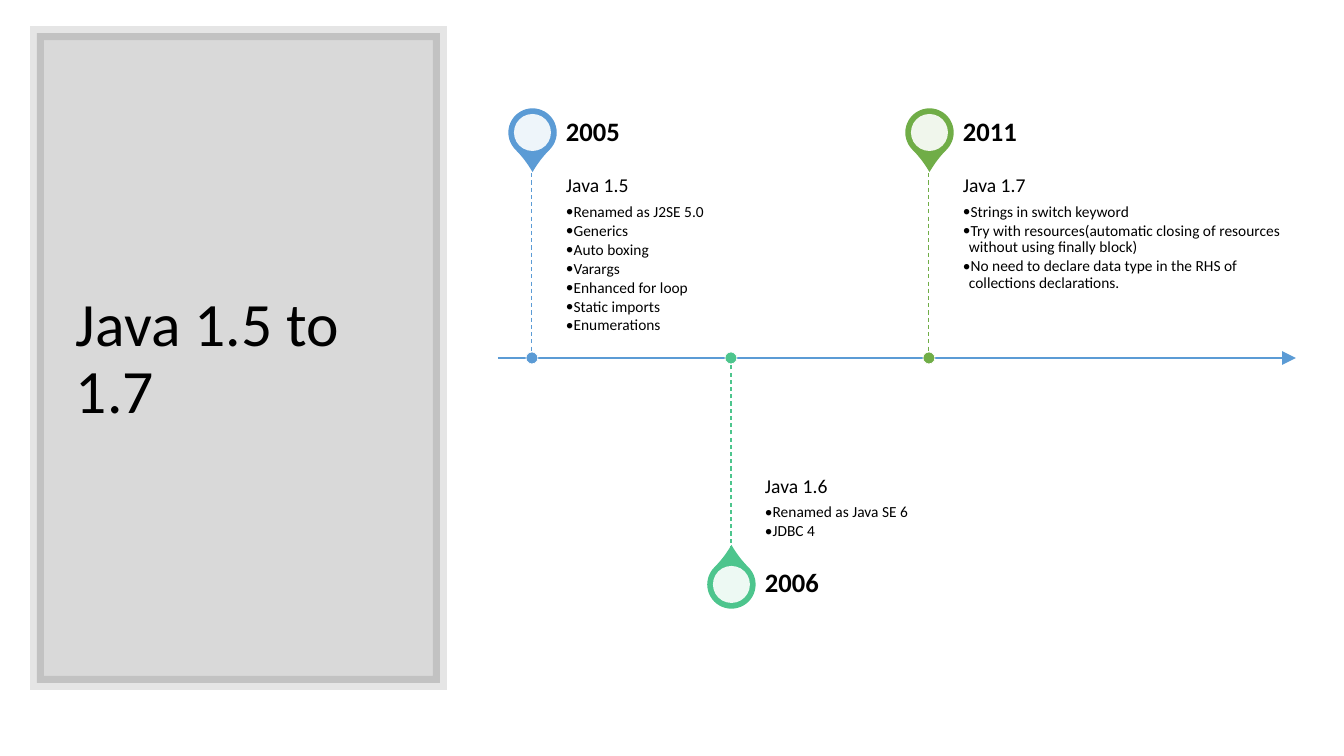
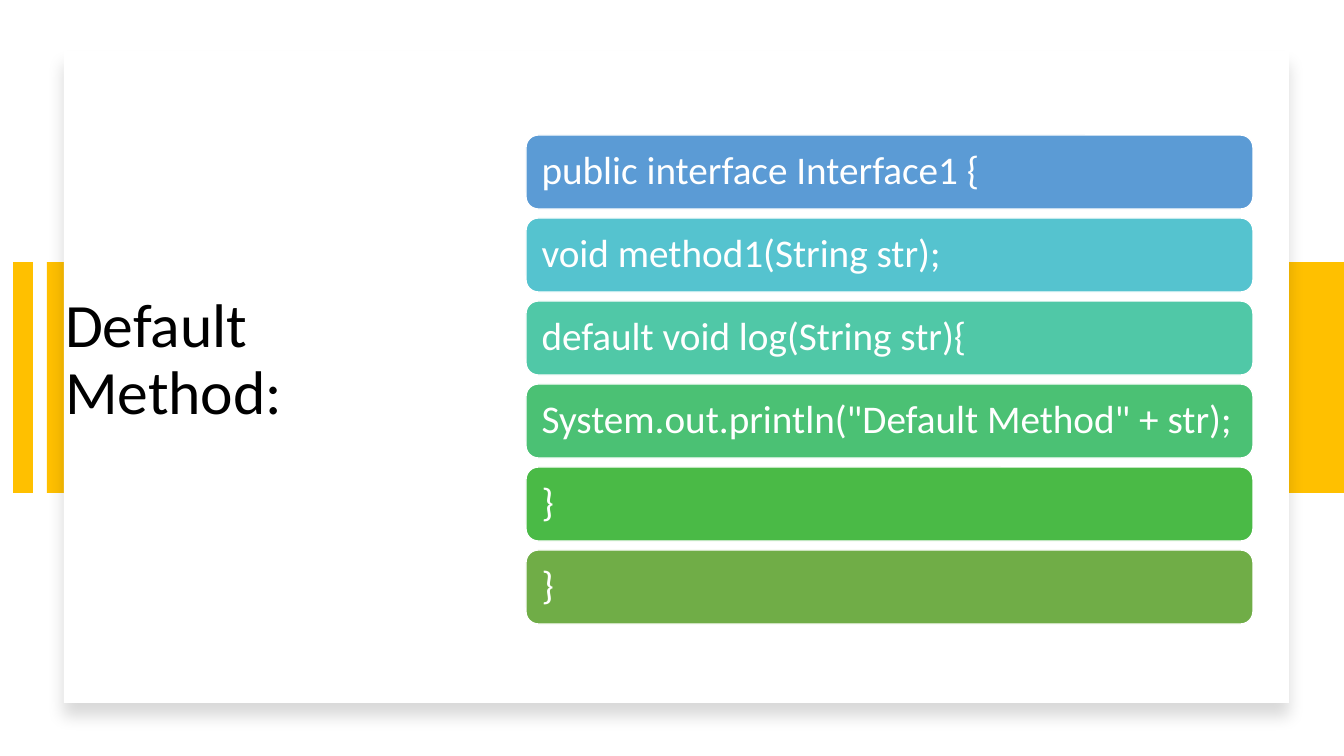
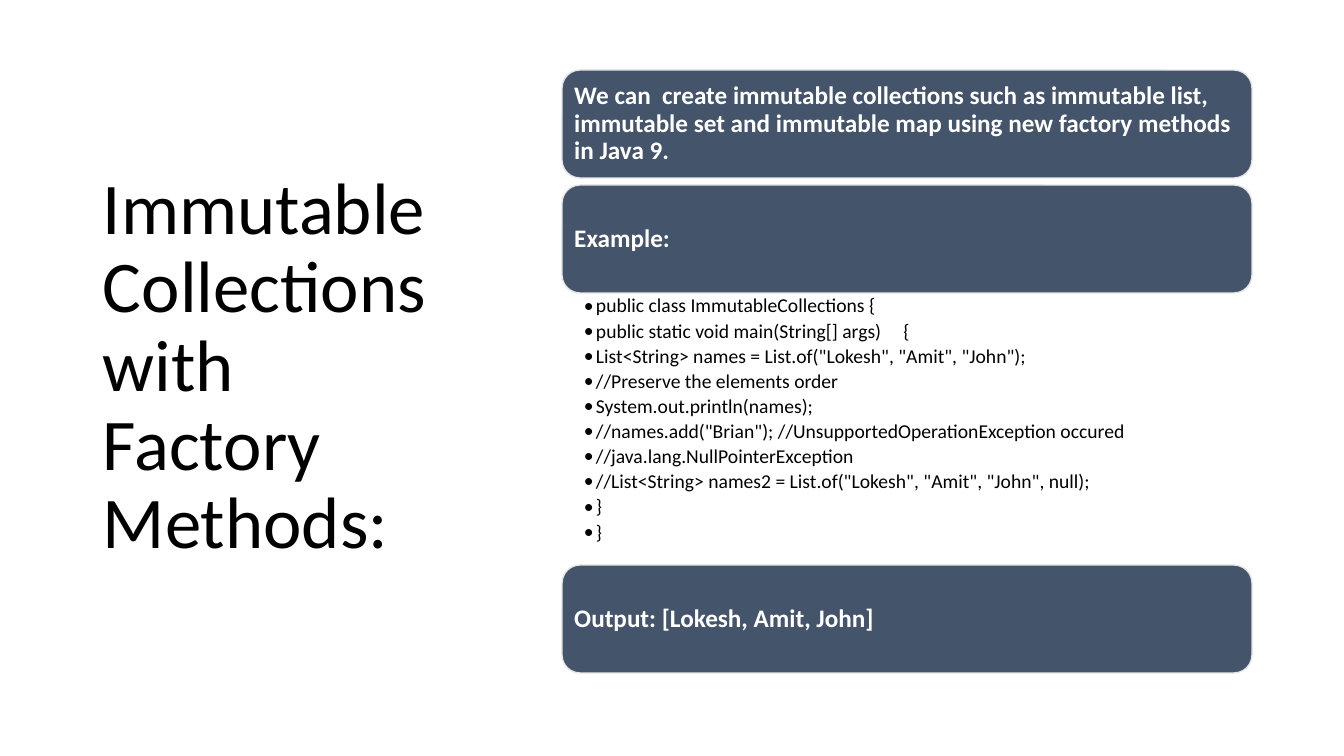
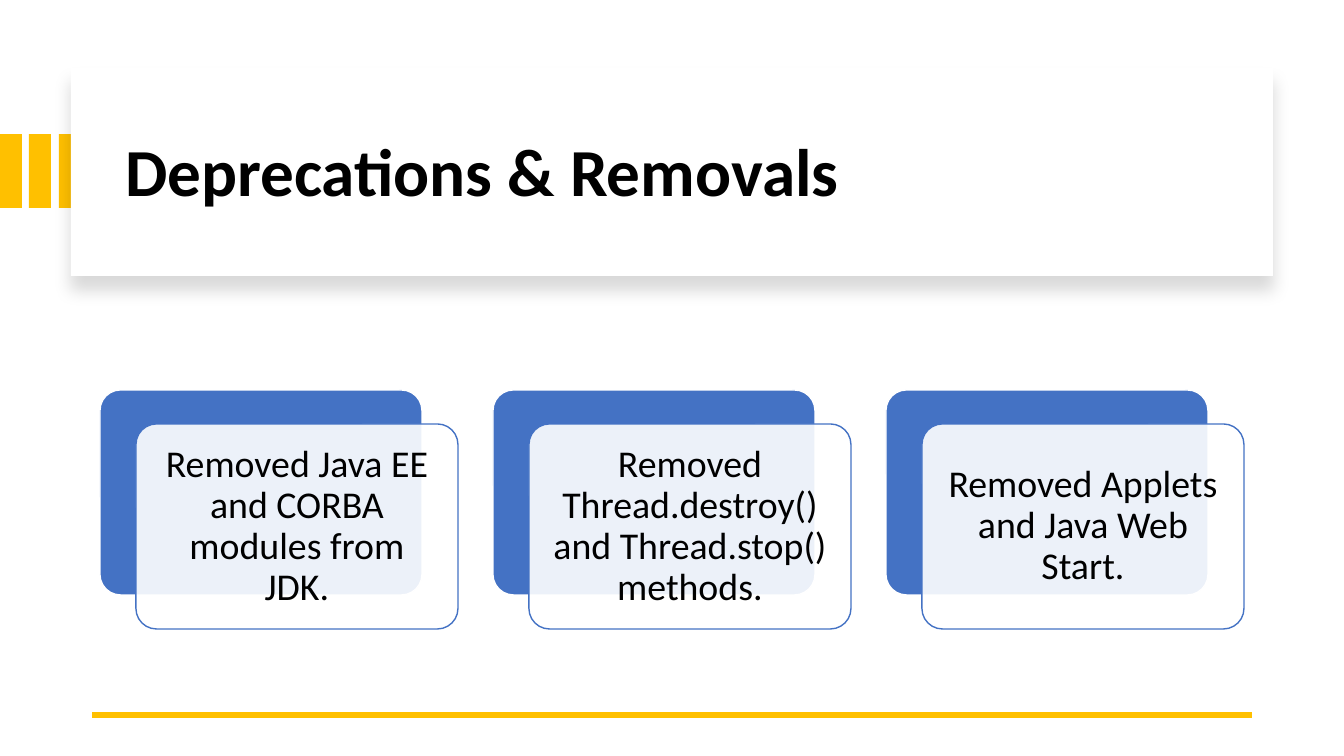
from dataclasses import dataclass
from typing import Any, NamedTuple, Optional

from lxml.etree import SubElement
from pptx import Presentation
from pptx.dml.color import RGBColor
from pptx.enum.dml import MSO_LINE
from pptx.enum.shapes import MSO_CONNECTOR, MSO_SHAPE as Preset
from pptx.enum.text import MSO_ANCHOR as Anchor, MSO_AUTO_SIZE as AutoSize, PP_ALIGN as Align
from pptx.oxml.ns import qn
from pptx.util import Emu, Pt

EMU_PER_PX = 12192000 / 1344


def px(length: int) -> Emu:
    return Emu(round(length * EMU_PER_PX))


@dataclass(frozen=True)
class Theme:
    font: str = "Calibri"
    black: str = "000000"
    white: str = "FFFFFF"
    gold: str = "FFC000"
    blue: str = "5B9BD5"
    mint: str = "4DC58D"
    green: str = "70AD47"
    royal: str = "4472C4"
    slate: str = "44546A"
    pale: str = "E7E6E6"
    ramp: tuple[str, ...] = ("5B9BD5", "55C3CF", "50C8A7", "4BC174", "4ABA46", "70AD47")
    title: int = 44
    wide_title: int = 48
    tall_title: int = 52
    code: int = 28
    card: int = 27
    year: int = 19
    block: int = 18
    body: int = 14
    detail: int = 11


THEME = Theme()


class Area(NamedTuple):
    left: int
    top: int
    width: int
    height: int

    def emu(self) -> list[Emu]:
        return [px(length) for length in self]


class Margins(NamedTuple):
    left: int = 10
    top: int = 5
    right: int = 10
    bottom: int = 5


class Stroke(NamedTuple):
    color: str
    width: float
    opacity: int = 100


@dataclass(frozen=True)
class TextStyle:
    size: int
    color: str = THEME.black
    bold: bool = False
    align: Align = Align.LEFT
    after: float = 0
    indent: int = 0


@dataclass(frozen=True)
class Milestone:
    year: str
    heading: str
    details: tuple[str, ...]
    color: str
    above: bool


class Block(NamedTuple):
    top: int
    text: str


MILESTONES = (
    Milestone("2005", "Java 1.5", (
        "Renamed as J2SE 5.0", "Generics", "Auto boxing", "Varargs",
        "Enhanced for loop", "Static imports", "Enumerations",
    ), THEME.blue, True),
    Milestone("2006", "Java 1.6", ("Renamed as Java SE 6", "JDBC 4"), THEME.mint, False),
    Milestone("2011", "Java 1.7", (
        "Strings in switch keyword",
        "Try with resources(automatic closing of resources without using finally block)",
        "No need to declare data type in the RHS of collections declarations.",
    ), THEME.green, True),
)

INTERFACE_LINES = (
    "public interface Interface1 {",
    "void method1(String str);",
    "default void log(String str){",
    'System.out.println("Default Method" + str);',
    "}",
    "}",
)

BLOCKS = (
    Block(70, "We can  create immutable collections such as immutable list, immutable set "
              "and immutable map using new factory methods in Java 9."),
    Block(185, "Example:"),
    Block(565, "Output: [Lokesh, Amit, John]"),
)

EXAMPLE_LINES = (
    "public class ImmutableCollections {",
    "public static void main(String[] args)     {",
    'List<String> names = List.of("Lokesh", "Amit", "John");',
    "//Preserve the elements order",
    "System.out.println(names);",
    '//names.add("Brian"); //UnsupportedOperationException occured',
    "//java.lang.NullPointerException",
    '//List<String> names2 = List.of("Lokesh", "Amit", "John", null);',
    "}",
    "}",
)

REMOVALS = (
    "Removed Java EE and CORBA modules from JDK.",
    "Removed Thread.destroy() and Thread.stop() methods.",
    "Removed Applets and Java Web Start.",
)


def apply_format(target: Any, values: dict[str, Any]) -> None:
    for name, value in values.items():
        setattr(target, name, value)


def fade(holder: Any, opacity: int) -> None:
    if opacity < 100:
        color = holder.find(qn("a:solidFill"))[0]
        SubElement(color, qn("a:alpha"), val=str(opacity * 1000))


def add_paragraph(frame: Any, text: str, style: TextStyle) -> None:
    para = frame.paragraphs[0]
    if para.runs:
        para = frame.add_paragraph()
    apply_format(para, {
        "alignment": style.align,
        "line_spacing": 0.9,
        "space_after": Pt(style.after),
    })
    if style.indent:
        para.level = 1
        properties = para._p.get_or_add_pPr()
        properties.set("marL", str(px(style.indent)))
        properties.set("indent", str(px(-style.indent)))
        SubElement(properties, qn("a:buFont"), typeface=THEME.font)
        SubElement(properties, qn("a:buChar"), char="•")
    span = para.add_run()
    span.text = text
    apply_format(span.font, {"name": THEME.font, "size": Pt(style.size), "bold": style.bold})
    span.font.color.rgb = RGBColor.from_string(style.color)


def set_frame(frame: Any, anchor: Anchor, margins: Margins) -> None:
    apply_format(frame, {
        "word_wrap": True,
        "auto_size": AutoSize.NONE,
        "vertical_anchor": anchor,
    })
    apply_format(frame, {f"margin_{side}": px(size) for side, size in margins._asdict().items()})


def add_box(page: Any, area: Area, anchor: Anchor, margins: Margins) -> Any:
    frame = page.shapes.add_textbox(*area.emu()).text_frame
    set_frame(frame, anchor, margins)
    return frame


def add_title(page: Any, text: str, area: Area, size: int, bold: bool = False) -> None:
    title = page.shapes.title
    apply_format(title, dict(zip(area._fields, area.emu())))
    set_frame(title.text_frame, Anchor.MIDDLE, Margins())
    add_paragraph(title.text_frame, text, TextStyle(size, bold=bold))
    page.shapes.element.append(title.element)


def add_shape(page: Any, preset: Preset, area: Area, fill: str, opacity: int = 100,
              stroke: Optional[Stroke] = None, adjust: Optional[float] = None) -> Any:
    shape = page.shapes.add_shape(preset, *area.emu())
    shape.shadow.inherit = False
    shape.fill.solid()
    shape.fill.fore_color.rgb = RGBColor.from_string(fill)
    fade(shape.element.spPr, opacity)
    if stroke:
        shape.line.color.rgb = RGBColor.from_string(stroke.color)
        shape.line.width = Pt(stroke.width)
        outline = shape.element.spPr.find(qn("a:ln"))
        fade(outline, stroke.opacity)
        SubElement(outline, qn("a:miter"), lim="800000")
    else:
        shape.line.fill.background()
    if adjust is not None:
        shape.adjustments[0] = adjust
    return shape


def add_label(shape: Any, text: str, style: TextStyle, inset: int) -> None:
    set_frame(shape.text_frame, Anchor.MIDDLE, Margins(inset, inset, inset, inset))
    add_paragraph(shape.text_frame, text, style)


def add_line(page: Any, start: tuple[int, int], end: tuple[int, int], stroke: Stroke,
             dashed: bool = False, arrow: bool = False) -> None:
    connector = page.shapes.add_connector(
        MSO_CONNECTOR.STRAIGHT, *[px(length) for length in start + end])
    connector.line.color.rgb = RGBColor.from_string(stroke.color)
    connector.line.width = Pt(stroke.width)
    if dashed:
        connector.line.dash_style = MSO_LINE.DASH
    properties = connector.element.spPr
    if arrow:
        SubElement(properties.find(qn("a:ln")), qn("a:tailEnd"), type="triangle",
                   w="lg", len="lg")
    SubElement(properties, qn("a:effectLst"))


def add_raised_card(page: Any, area: Area) -> None:
    card = add_shape(page, Preset.RECTANGLE, area, THEME.white)
    effects = card.element.spPr.find(qn("a:effectLst"))
    shadow = SubElement(effects, qn("a:outerShdw"), blurRad=str(Pt(11)), dist=str(Pt(10)),
                        dir="5400000", algn="t", rotWithShape="0")
    color = SubElement(shadow, qn("a:srgbClr"), val=THEME.black)
    SubElement(color, qn("a:alpha"), val="15000")


def add_page(deck: Any) -> Any:
    return deck.slides.add_slide(deck.slide_layouts[5])


def centred(center: int, middle: int, size: int) -> Area:
    return Area(center - size // 2, middle - size // 2, size, size)


def add_milestone(page: Any, milestone: Milestone, center: int, axis: int) -> None:
    stem, year_height, reach = 192, 67, 226
    text_left, text_width = center + 34, 332
    if milestone.above:
        pin, tip, turn = axis - reach, axis - stem, 135
        body_top, year_top = tip, tip - year_height
        anchor, margins = Anchor.TOP, Margins(0, 10, 10, 15)
    else:
        pin, tip, turn = axis + reach, axis + stem, 315
        body_top, year_top = axis, tip
        anchor, margins = Anchor.BOTTOM, Margins(0, 15, 0, 10)

    drop = add_shape(page, Preset.TEAR, centred(center, pin, 47), milestone.color,
                     stroke=Stroke(milestone.color, 1), adjust=1.15)
    drop.rotation = turn
    add_shape(page, Preset.OVAL, centred(center, pin, 37), THEME.white, 90)

    body = add_box(page, Area(text_left, body_top, text_width, stem), anchor, margins)
    add_paragraph(body, milestone.heading, TextStyle(THEME.body, after=4.9))
    for detail in milestone.details:
        add_paragraph(body, detail, TextStyle(THEME.detail, after=1.65, indent=6))
    year = add_box(page, Area(text_left, year_top, text_width, year_height),
                   Anchor.MIDDLE, Margins(0, 0, 13, 0))
    add_paragraph(year, milestone.year, TextStyle(THEME.year, bold=True))

    add_line(page, (center, tip), (center, axis), Stroke(milestone.color, 0.75), dashed=True)
    add_shape(page, Preset.OVAL, centred(center, axis, 12), milestone.color,
              stroke=Stroke(THEME.white, 0.5))


def build_timeline(deck: Any) -> None:
    page = add_page(deck)
    axis = 358
    add_shape(page, Preset.RECTANGLE, Area(37, 33, 403, 650), THEME.black, 15,
              Stroke(THEME.black, 10, 10))
    add_title(page, "Java 1.5 to 1.7", Area(66, 70, 349, 580), THEME.title)
    add_line(page, (498, axis), (1296, axis), Stroke(THEME.blue, 1.75), arrow=True)
    for index, milestone in enumerate(MILESTONES):
        add_milestone(page, milestone, 532 + (397 * index + 1) // 2, axis)


def build_default_method(deck: Any) -> None:
    page = add_page(deck)
    add_shape(page, Preset.RECTANGLE, Area(47, 262, 1297, 231), THEME.gold)
    add_line(page, (23, 262), (23, 493), Stroke(THEME.gold, 14))
    add_raised_card(page, Area(64, 51, 1225, 652))
    add_title(page, "Default Method:", Area(55, 74, 398, 574), THEME.title)
    for index, (text, color) in enumerate(zip(INTERFACE_LINES, THEME.ramp)):
        bar = add_shape(page, Preset.ROUNDED_RECTANGLE, Area(526, 135 + 83 * index, 727, 74),
                        color, stroke=Stroke(THEME.white, 1))
        add_label(bar, text, TextStyle(THEME.code, THEME.white), 12)


def build_collections(deck: Any) -> None:
    page = add_page(deck)
    left, width = 562, 690
    add_title(page, "Immutable Collections with Factory Methods:", Area(93, 61, 372, 614),
              THEME.tall_title)
    for block in BLOCKS:
        panel = add_shape(page, Preset.ROUNDED_RECTANGLE, Area(left, block.top, width, 108),
                          THEME.slate, stroke=Stroke(THEME.pale, 1))
        add_label(panel, block.text, TextStyle(THEME.block, THEME.white, bold=True), 7)
    example = add_box(page, Area(left, 293, width, 271), Anchor.TOP, Margins(22, 3, 14, 3))
    for text in EXAMPLE_LINES:
        add_paragraph(example, text, TextStyle(THEME.body, after=2.8, indent=12))


def build_removals(deck: Any) -> None:
    page = add_page(deck)
    for index in range(3):
        add_shape(page, Preset.RECTANGLE, Area(59 * index // 2, 134, 22, 74), THEME.gold)
    add_raised_card(page, Area(71, 68, 1202, 208))
    add_title(page, "Deprecations & Removals", Area(115, 89, 1122, 171),
              THEME.wide_title, bold=True)
    add_line(page, (1252, 715), (92, 715), Stroke(THEME.gold, 4.5))
    for index, text in enumerate(REMOVALS):
        back = Area(100 + 393 * index, 390, 322, 205)
        front = back._replace(left=back.left + 36, top=back.top + 34)
        add_shape(page, Preset.ROUNDED_RECTANGLE, back, THEME.royal,
                  stroke=Stroke(THEME.white, 1), adjust=0.1)
        card = add_shape(page, Preset.ROUNDED_RECTANGLE, front, THEME.white, 90,
                         Stroke(THEME.royal, 1), 0.1)
        add_label(card, text, TextStyle(THEME.card, align=Align.CENTER), 12)


def main() -> None:
    deck = Presentation()
    apply_format(deck, {"slide_width": px(1344), "slide_height": px(756)})
    for build in (build_timeline, build_default_method, build_collections, build_removals):
        build(deck)
    deck.save("out.pptx")


if __name__ == "__main__":
    main()
